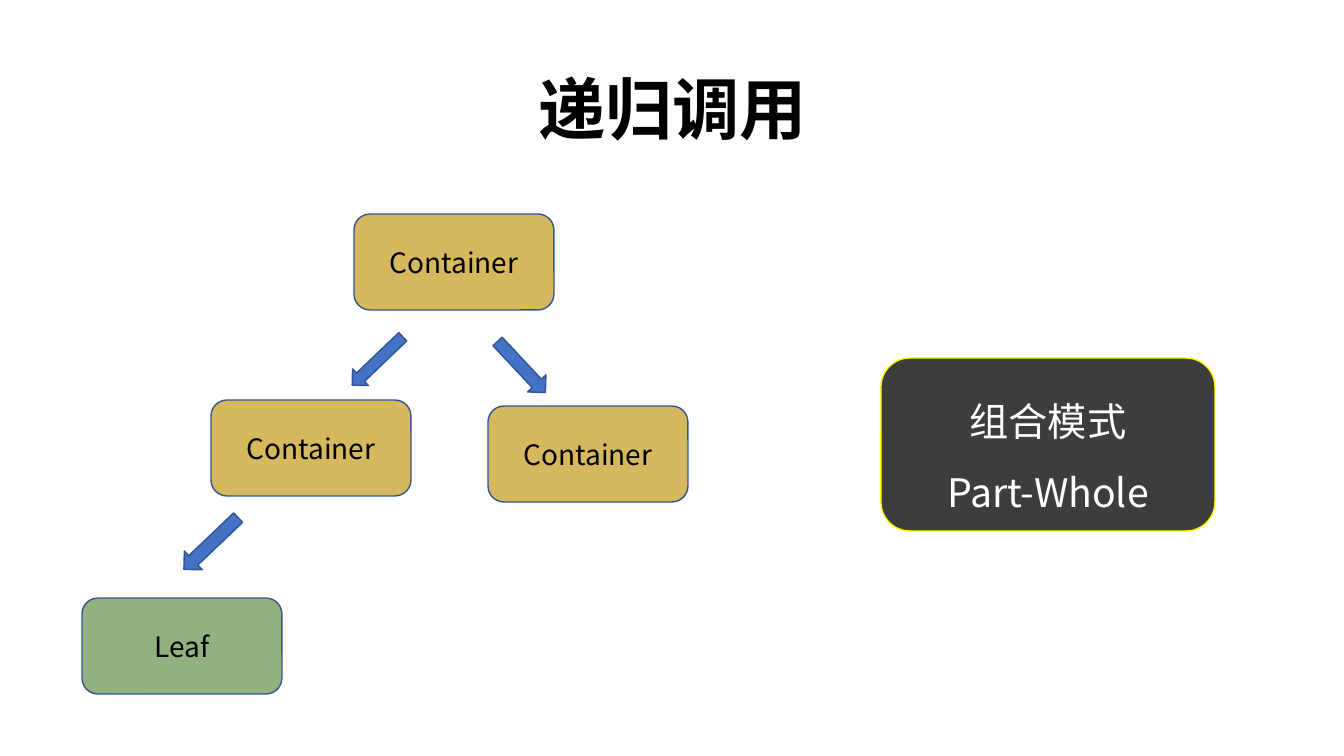
"""Builds the slide on recursive calls in the composite pattern."""
import pptx
import pptx.dml.color
import pptx.enum.shapes
import pptx.enum.text
import pptx.oxml
import pptx.oxml.ns
import pptx.util

EMU_PER_PX = 914400 / 100.8
THEME = {
    "font": "Noto Sans CJK SC",
    "title_size": 48, "node_size": 20, "pattern_size": 28,
    "dark_text": "000000", "light_text": "FFFFFF",
    "container": "BF9000", "leaf": "548235", "pattern": "0D0D0D",
    "arrow": "4472C4", "outline": "325491", "pattern_outline": "FFFF00",
}
SHAPES = pptx.enum.shapes.MSO_SHAPE
NODE_SIZE = (200, 96)


def write_text(holder, lines, size, color, bold=False, spacing=None):
    frame = holder.text_frame
    frame_format = {
        "text": "\n".join(lines),
        "word_wrap": True,
        "auto_size": pptx.enum.text.MSO_AUTO_SIZE.NONE,
        "vertical_anchor": pptx.enum.text.MSO_ANCHOR.MIDDLE,
    }
    for name, value in frame_format.items():
        setattr(frame, name, value)
    font_format = {"name": THEME["font"], "size": pptx.util.Pt(THEME[size]), "bold": bold}
    for paragraph in frame.paragraphs:
        paragraph.alignment = pptx.enum.text.PP_ALIGN.CENTER
        paragraph.line_spacing = spacing
        for run in paragraph.runs:
            for name, value in font_format.items():
                setattr(run.font, name, value)
            run.font.color.rgb = pptx.dml.color.RGBColor.from_string(THEME[color])
            east_asian = pptx.oxml.parse_xml(
                f'<a:ea {pptx.oxml.ns.nsdecls("a")} typeface="{THEME["font"]}"/>')
            run.font._element.append(east_asian)


def add_block(kind, box, fill, outline, opacity=100, rotation=0):
    block = slide.shapes.add_shape(kind, *(round(px * EMU_PER_PX) for px in box))
    block.shadow.inherit = False
    block.rotation = rotation
    block.fill.solid()
    block.fill.fore_color.rgb = pptx.dml.color.RGBColor.from_string(THEME[fill])
    block.line.color.rgb = pptx.dml.color.RGBColor.from_string(THEME[outline])
    block.line.width = pptx.util.Pt(1)
    if opacity < 100:
        fill_color = block._element.spPr.find(
            "a:solidFill/a:srgbClr", pptx.oxml.ns._nsmap)
        fill_color.append(pptx.oxml.parse_xml(
            f'<a:alpha {pptx.oxml.ns.nsdecls("a")} val="{opacity * 1000}"/>'))
    return block


deck = pptx.Presentation()
deck.slide_width = round(1344 * EMU_PER_PX)
deck.slide_height = round(756 * EMU_PER_PX)
slide = deck.slides.add_slide(deck.slide_layouts[5])

heading = slide.shapes.title
heading_box = {"left": 93, "top": 40, "width": 1159, "height": 146}
for side, px in heading_box.items():
    setattr(heading, side, round(px * EMU_PER_PX))
write_text(heading, ["递归调用"], "title_size", "dark_text", bold=True, spacing=0.9)

tree_nodes = [
    ("Container", "container", 354, 214),
    ("Container", "container", 488, 406),
    ("Container", "container", 211, 400),
    ("Leaf", "leaf", 82, 598),
]
for label, fill, left, top in tree_nodes:
    node = add_block(SHAPES.ROUNDED_RECTANGLE, (left, top, *NODE_SIZE), fill, "outline", 63)
    write_text(node, [label], "node_size", "dark_text")

calls = [
    ((366, 326, 23, 70), 46.3),
    ((509, 332, 25, 70), 316.9),
    ((198, 506, 26, 75), 46.3),
]
for box, rotation in calls:
    add_block(SHAPES.DOWN_ARROW, box, "arrow", "outline", rotation=rotation)

pattern = add_block(SHAPES.ROUNDED_RECTANGLE, (881, 358, 334, 173),
                    "pattern", "pattern_outline", 80)
write_text(pattern, ["组合模式", "Part-Whole"], "pattern_size", "light_text", spacing=1.5)

deck.save("out.pptx")
